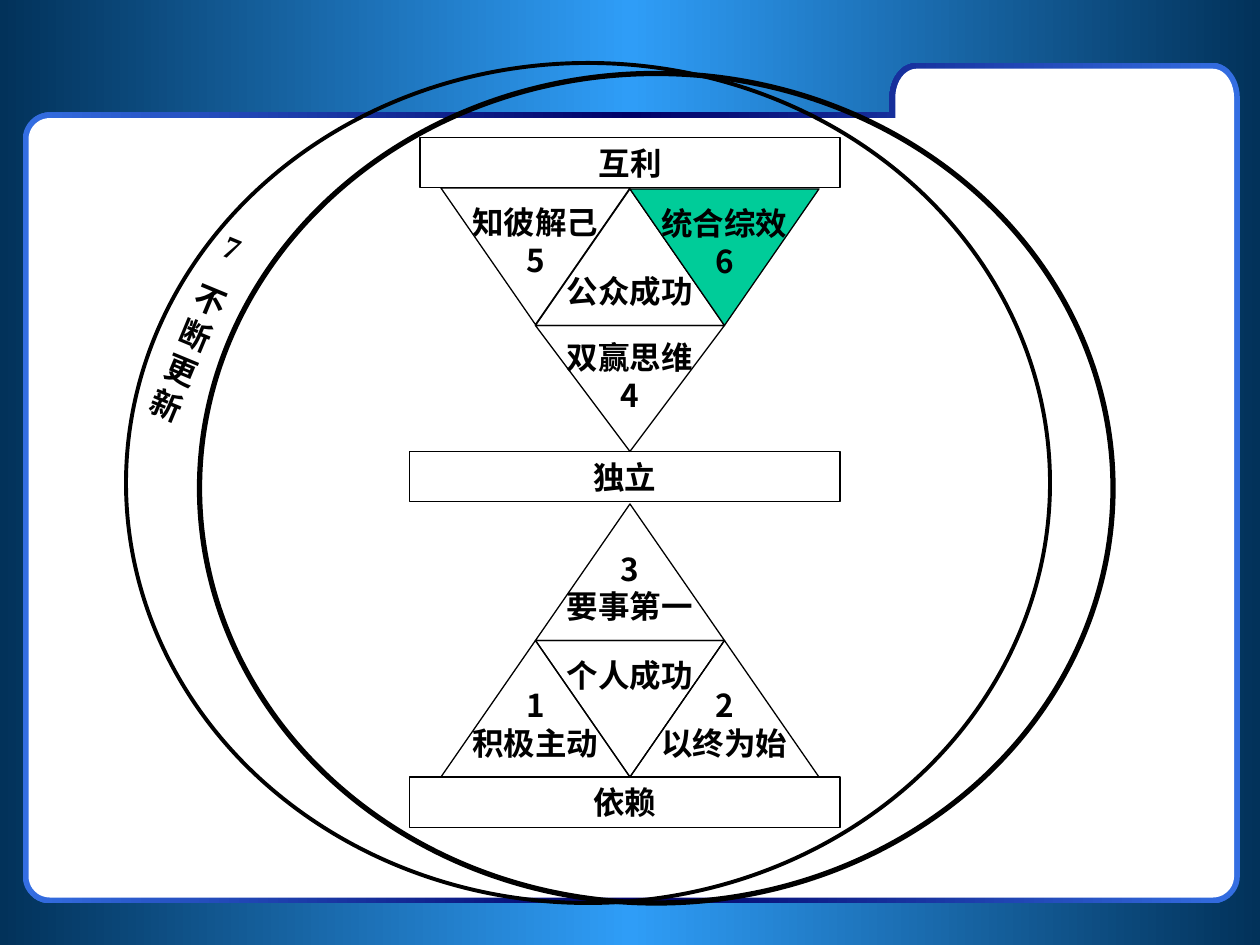
from copy import deepcopy
from math import cos, radians, sin

from lxml import etree
from pptx import Presentation
from pptx import util as u
from pptx.dml import color
from pptx.enum import shapes, text
from pptx.oxml import ns

Pt = u.Pt
SANS = "Noto Sans CJK SC"
SERIF = "Times New Roman"
BLACK = "000000"
LINE_HEIGHT = 21.6


def rgb(value):
    return color.RGBColor.from_string(value)


def write(shape, content, font=SANS, size=18, wrap=False, anchor="MIDDLE",
          top=3.6, bottom=3.6, gap=0):
    frame = shape.text_frame
    frame.word_wrap = wrap
    frame.vertical_anchor = text.MSO_ANCHOR[anchor]
    frame.margin_left = frame.margin_right = Pt(7.2)
    frame.margin_top, frame.margin_bottom = Pt(top), Pt(bottom)
    for index, line in enumerate(content.split("\n")):
        paragraph = frame.add_paragraph() if index else frame.paragraphs[0]
        paragraph.alignment = text.PP_ALIGN.CENTER
        paragraph.space_before = Pt(gap if index else 0)
        run = paragraph.add_run()
        run.text = line
        run.font.size, run.font.bold, run.font.name = Pt(size), True, font
        run.font.color.rgb = rgb(BLACK)
        properties = run.font._element
        etree.SubElement(properties, ns.qn("a:ea"), typeface=SANS)


class Painter:
    def __init__(self, slide):
        self.slide = slide

    def style(self, shape, fill=None, line=None, weight=0.75):
        shape.shadow.inherit = False
        if fill:
            shape.fill.solid()
            shape.fill.fore_color.rgb = rgb(fill)
        else:
            shape.fill.background()
        if line:
            shape.line.color.rgb = rgb(line)
            shape.line.width = Pt(weight)
        else:
            shape.line.fill.background()
        return shape

    def gradient(self, shape, edge, middle):
        shape.fill.gradient()
        shape.fill.gradient_angle = 0
        stops = shape._element.spPr.find(".//" + ns.qn("a:gsLst"))
        stops.append(deepcopy(stops[0]))
        for stop, place, value in zip(shape.fill.gradient_stops, (0, 0.5, 1), (edge, middle, edge)):
            stop.position = place
            stop.color.rgb = rgb(value)

    def preset(self, kind, left, top, width, height, **look):
        shape = self.slide.shapes.add_shape(
            shapes.MSO_SHAPE[kind], Pt(left), Pt(top), Pt(width), Pt(height))
        return self.style(shape, **look)

    def folder(self, inset=0, fill=None):
        left, top, right, bottom = 13 + inset, 64.2 + inset, 708.5 - inset, 516.2 - inset
        tab_left, tab_top = 508.3 + inset, 36 + inset
        radius, tab_radius = 15.5 - inset, 20 - inset
        corners = [
            (left + radius, top + radius, radius, 180),
            (tab_left + radius, tab_top + tab_radius, tab_radius, 180),
            (right - radius, tab_top + tab_radius, tab_radius, 270),
            (right - radius, bottom - radius, radius, 0),
            (left + radius, bottom - radius, radius, 90),
        ]
        points = []
        for number, (x, y, height, start) in enumerate(corners):
            if number == 1:
                points.append((tab_left, top))
            for angle in range(start, start + 91, 9):
                points.append((x + radius * cos(radians(angle)), y + height * sin(radians(angle))))
        vertices = [(Pt(x), Pt(y)) for x, y in points]
        builder = self.slide.shapes.build_freeform(*vertices[0])
        builder.add_line_segments(vertices[1:], close=True)
        return self.style(builder.convert_to_shape(), fill=fill)

    def triangle(self, content, left, top, height=78, down=False, fill=None):
        kind = "FLOWCHART_MERGE" if down else "FLOWCHART_EXTRACT"
        shape = self.preset(kind, left, top, 108, height, fill=fill, line=BLACK)
        shift = 3.6 + LINE_HEIGHT * content.count("\n")
        write(shape, content, **{"top" if down else "bottom": shift})

    def bar(self, content, left, top):
        shape = self.preset("RECTANGLE", left, top, 480 - left, 28.8, line=BLACK)
        write(shape, content, font=SERIF, wrap=True, anchor="TOP")

    def label(self, content, left, top, width, height, rotation):
        box = self.slide.shapes.add_textbox(Pt(left), Pt(top), Pt(width), Pt(height))
        box.rotation = rotation
        write(box, content, font=SERIF, wrap=True, anchor="TOP", gap=11.2)


def main():
    presentation = Presentation()
    presentation.slide_width, presentation.slide_height = Pt(720), Pt(540)
    painter = Painter(presentation.slides.add_slide(presentation.slide_layouts[6]))

    painter.gradient(painter.preset("RECTANGLE", 0, 0, 720, 540), "02325A", "2F9DF7")
    painter.gradient(painter.folder(), "346EE2", "000066")
    painter.folder(inset=3.3, fill="FFFFFF")

    painter.preset("OVAL", 72, 36, 528, 480, line=BLACK, weight=2.25)
    painter.preset("OVAL", 114, 42, 522, 474, line=BLACK, weight=3)
    painter.label("7\n不断更新", 97.2, 123.1, 33.8, 126.7, 22.5)

    for content, left, top in [("互利", 240, 78.5), ("独立", 234, 258), ("依赖", 234, 444)]:
        painter.bar(content, left, top)

    painter.triangle("公众成功", 306, 108)
    painter.triangle("知彼解己\n5", 252, 107.5, down=True)
    painter.triangle("统合综效\n6", 360, 108, down=True, fill="00CC99")
    painter.triangle("双赢思维\n4", 306, 186, height=72, down=True)
    painter.triangle("3\n要事第一", 306, 288)
    painter.triangle("1\n积极主动", 252, 366)
    painter.triangle("个人成功", 306, 366, down=True)
    painter.triangle("2\n以终为始", 360, 366)

    presentation.save("out.pptx")


if __name__ == "__main__":
    main()
